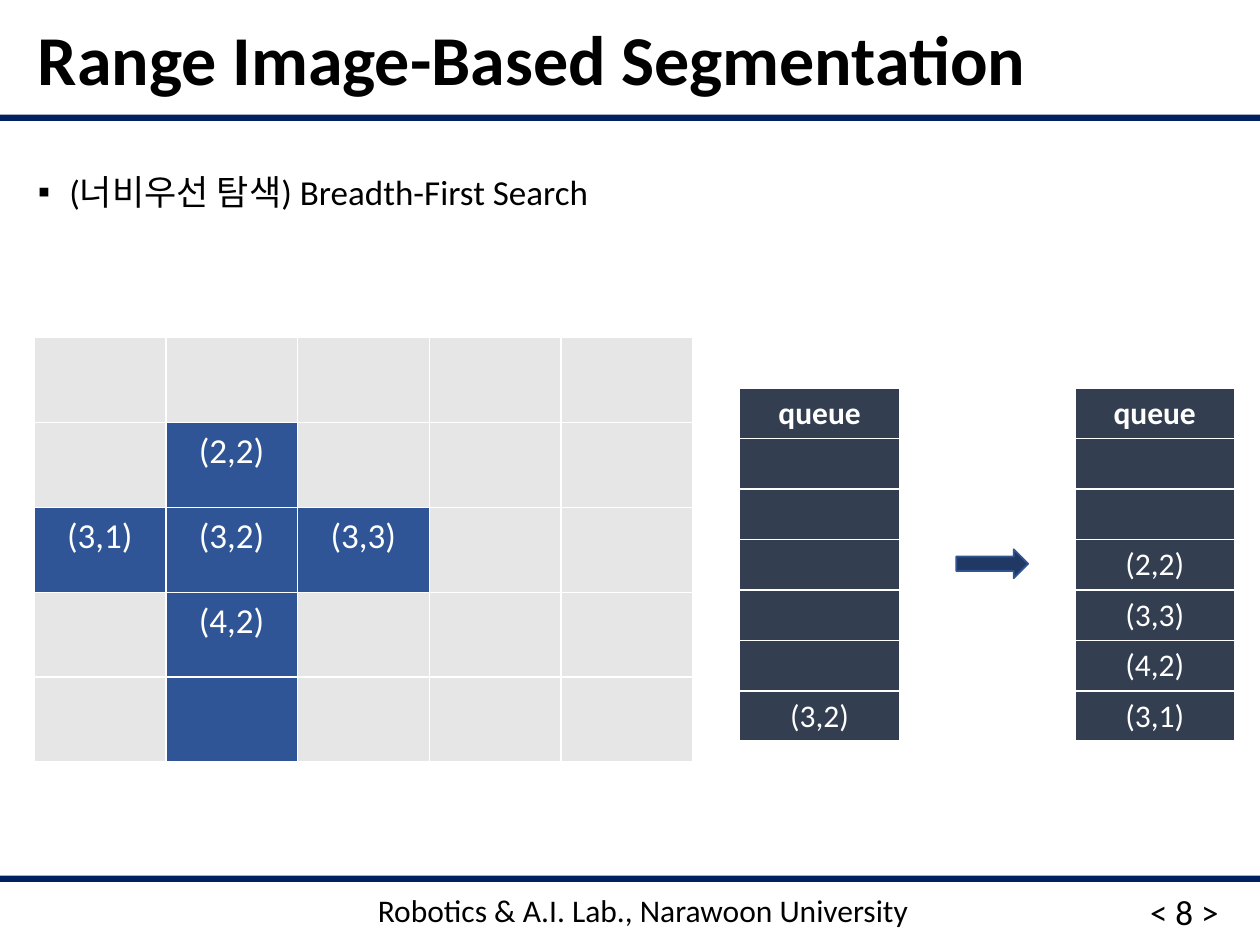
from lxml.etree import SubElement
from pptx import Presentation
from pptx.dml.color import RGBColor
from pptx.enum.shapes import MSO_SHAPE
from pptx.enum.text import MSO_ANCHOR, MSO_AUTO_SIZE, PP_ALIGN
from pptx.oxml.ns import qn
from pptx.util import Inches, Pt

INK = {"bar": "002060", "text": "000000", "white": "FFFFFF", "idle": "E7E6E6",
       "seen": "2F5597", "queue": "333F50", "arrow": "203864", "edge": "325491"}
HUE = {name: RGBColor.from_string(code) for name, code in INK.items()}


def write(frame, text, size, hue="text", bold=False, align=PP_ALIGN.LEFT):
    frame.word_wrap = True
    line = frame.paragraphs[0]
    line.text = text
    line.alignment = align
    font = line.font
    font.name, font.size, font.bold = "Calibri", Pt(size), bold
    font.color.rgb = HUE[hue]
    return line


def grid(left, top, wide, high, rows, fills, size, pad):
    table = slide.shapes.add_table(len(rows), len(rows[0]), Inches(left), Inches(top),
                                   Inches(wide), Inches(high)).table
    table.horz_banding = False
    for r, row in enumerate(rows):
        table.rows[r].height = Inches(high / len(rows))
        for c, text in enumerate(row):
            cell = table.cell(r, c)
            cell.margin_left = cell.margin_right = Inches(pad[0])
            cell.margin_top = cell.margin_bottom = Inches(pad[1])
            cell.fill.solid()
            cell.fill.fore_color.rgb = HUE[fills[r][c]]
            write(cell.text_frame, text, size, "white", text == "queue", PP_ALIGN.CENTER)


deck = Presentation()
deck.slide_width, deck.slide_height = Inches(10), Inches(7.5)
slide = deck.slides.add_slide(deck.slide_layouts[1])

for top in (6.95, 0.91):
    bar = slide.shapes.add_shape(MSO_SHAPE.RECTANGLE, 0, Inches(top),
                                 deck.slide_width, Inches(0.05))
    bar.shadow.inherit = False
    bar.fill.solid()
    bar.fill.fore_color.rgb = HUE["bar"]
    bar.line.fill.background()

title, body = slide.shapes.title, slide.placeholders[1]
for holder, top, high in ((title, 0.13, 0.74), (body, 0.97, 5.87)):
    holder.left, holder.top = Inches(0.2), Inches(top)
    holder.width, holder.height = Inches(9.61), Inches(high)
    holder.text_frame.auto_size = MSO_AUTO_SIZE.NONE

title.text_frame.vertical_anchor = MSO_ANCHOR.MIDDLE
head = write(title.text_frame, "Range Image-Based Segmentation", 40, bold=True)
head.line_spacing = 0.9

item = write(body.text_frame, "(너비우선 탐색) Breadth-First Search", 20)
item.line_spacing = 2.0
item.space_before = Pt(0)
props = item._p.get_or_add_pPr()
props.set("marL", str(Inches(0.25)))
props.set("indent", str(-Inches(0.25)))
mark = SubElement(props, qn("a:buChar"))
mark.set("char", "▪")
props.find(qn("a:defRPr")).addprevious(mark)

for text, left, wide, high, size in (
        ("< 8 >", 9.03, 0.98, 0.49, 20),
        ("Robotics & A.I. Lab., Narawoon University", 2.9, 4.69, 0.46, 18)):
    box = slide.shapes.add_textbox(Inches(left), Inches(7.02), Inches(wide), Inches(high))
    write(box.text_frame, text, size)

cells = [[""] * 5 for _ in range(5)]
fills = [["idle"] * 5 for _ in range(5)]
for r, c in ((2, 2), (3, 1), (3, 2), (3, 3), (4, 2)):
    cells[r - 1][c - 1] = f"({r},{c})"
    fills[r - 1][c - 1] = "seen"
fills[4][1] = "seen"
grid(0.27, 2.68, 5.23, 3.37, cells, fills, 20, (0.11, 0.06))

for left, names in ((5.87, ["(3,2)"]), (8.53, ["(2,2)", "(3,3)", "(4,2)", "(3,1)"])):
    names = ["queue"] + [""] * (6 - len(names)) + names
    grid(left, 3.08, 1.27, 2.8, [[name] for name in names], [["queue"]] * 7, 18, (0.1, 0.05))

arrow = slide.shapes.add_shape(MSO_SHAPE.RIGHT_ARROW, Inches(7.59), Inches(4.36),
                               Inches(0.57), Inches(0.23))
arrow.shadow.inherit = False
arrow.fill.solid()
arrow.fill.fore_color.rgb = HUE["arrow"]
arrow.line.color.rgb = HUE["edge"]
arrow.line.width = Pt(1)

deck.save("out.pptx")
